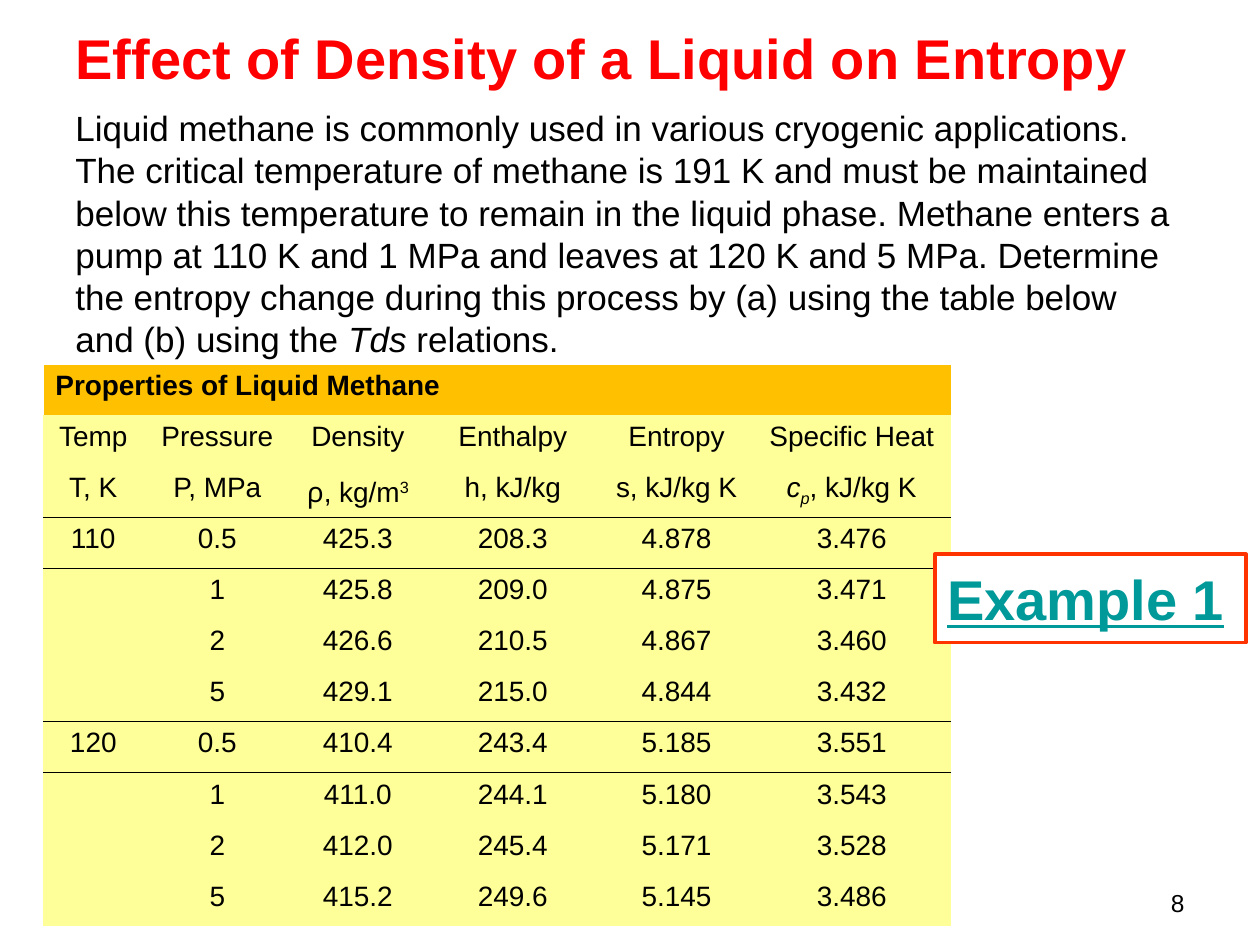
from lxml import etree
from pptx import Presentation
from pptx.dml.color import RGBColor
from pptx.enum import shapes, text
from pptx.oxml.ns import qn
from pptx.util import Inches, Pt

BLACK = RGBColor(0x00, 0x00, 0x00)
WHITE = RGBColor(0xFF, 0xFF, 0xFF)
RED = RGBColor(0xFF, 0x00, 0x00)
ORANGE_RED = RGBColor(0xFF, 0x33, 0x00)
TEAL = RGBColor(0x00, 0x99, 0x99)
GOLD = RGBColor(0xFF, 0xC0, 0x00)
PALE_YELLOW = RGBColor(0xFF, 0xFF, 0x99)

LEFT, CENTER, RIGHT = text.PP_ALIGN.LEFT, text.PP_ALIGN.CENTER, text.PP_ALIGN.RIGHT
NO_STYLE = "{2D5ABB26-0587-4C30-8999-92F81FD0307C}"

HEADING = "Effect of Density of a Liquid on Entropy"
PROBLEM = [
    ("Liquid methane is commonly used in various cryogenic applications. "
     "The critical temperature of methane is 191 K and must be maintained "
     "below this temperature to remain in the liquid phase. Methane enters a "
     "pump at 110 K and 1 MPa and leaves at 120 K and 5 MPa. Determine the "
     "entropy change during this process by (a) using the table below and "
     "(b) using the ", {}),
    ("Tds", {"italic": True}),
    (" relations.", {}),
]

COLUMN_WIDTHS = [0.8, 1.17, 1.06, 1.4, 1.2, 1.58]
TABLE_HEIGHT = 4.46
QUANTITIES = ["Temp", "Pressure", "Density", "Enthalpy", "Entropy", "Specific Heat"]
UNITS = [
    "T, K",
    "P, MPa",
    [("ρ", {"name": "Noto Sans"}), (", kg/m", {}), ("3", {"baseline": 30})],
    "h, kJ/kg",
    "s, kJ/kg K",
    [("c", {"italic": True}), ("p", {"italic": True, "baseline": -25}),
     (", kJ/kg K", {})],
]
PROPERTIES = [
    ["110", "0.5", "425.3", "208.3", "4.878", "3.476"],
    ["", "1", "425.8", "209.0", "4.875", "3.471"],
    ["", "2", "426.6", "210.5", "4.867", "3.460"],
    ["", "5", "429.1", "215.0", "4.844", "3.432"],
    ["120", "0.5", "410.4", "243.4", "5.185", "3.551"],
    ["", "1", "411.0", "244.1", "5.180", "3.543"],
    ["", "2", "412.0", "245.4", "5.171", "3.528"],
    ["", "5", "415.2", "249.6", "5.145", "3.486"],
]
# Rows of the whole table that open a new temperature group
GROUP_STARTS = (3, 7)


def write(frame, content, size, color=BLACK, align=LEFT, bold=False):
    """Fill the first paragraph with a string or with (words, format) pairs."""
    paragraph = frame.paragraphs[0]
    paragraph.alignment = align
    font = paragraph.font
    font.name, font.size, font.bold = "Arial", Pt(size), bold
    font.color.rgb = color
    pieces = [(content, {})] if isinstance(content, str) else content
    for words, style in pieces:
        if not words:
            continue
        run = paragraph.add_run()
        run.text = words
        for key, value in style.items():
            if key == "baseline":
                run.font._element.set("baseline", str(value * 1000))
            else:
                setattr(run.font, key, value)
    return paragraph


def add_heading(slide):
    heading = slide.shapes.title
    heading.left, heading.top = Inches(0.5), Inches(0.1)
    heading.width, heading.height = Inches(9), Inches(0.7)
    heading.text_frame.vertical_anchor = text.MSO_ANCHOR.MIDDLE
    write(heading.text_frame, HEADING, 32, RED, bold=True)


def add_text(slide, box, content, size, align=LEFT):
    frame = slide.shapes.add_textbox(*map(Inches, box)).text_frame
    frame.word_wrap = True
    return write(frame, content, size, align=align)


def add_border(cell, side, color):
    """Draw a 1 pt line on side L, R, T or B; call before the cell is filled."""
    line = etree.SubElement(cell._tc.get_or_add_tcPr(), qn(f"a:ln{side}"), w=str(Pt(1)))
    solid = etree.SubElement(line, qn("a:solidFill"))
    etree.SubElement(solid, qn("a:srgbClr"), val=str(color))


def fill_cell(cell, content, color, **style):
    cell.fill.solid()
    cell.fill.fore_color.rgb = color
    write(cell.text_frame, content, 16, **style)


def add_properties_table(slide):
    body = [QUANTITIES, UNITS, *PROPERTIES]
    row_count = len(body) + 1
    frame = slide.shapes.add_table(
        row_count, len(COLUMN_WIDTHS), Inches(0.34), Inches(2.89),
        Inches(sum(COLUMN_WIDTHS)), Inches(TABLE_HEIGHT))
    table = frame.table
    table.first_row = table.horz_banding = False
    table._tbl.tblPr.find(qn("a:tableStyleId")).text = NO_STYLE
    for column, width in zip(table.columns, COLUMN_WIDTHS):
        column.width = Inches(width)
    for row in table.rows:
        row.height = Inches(TABLE_HEIGHT / row_count)

    caption = table.cell(0, 0)
    caption.merge(table.cell(0, len(COLUMN_WIDTHS) - 1))
    for side in "LRT":
        add_border(caption, side, WHITE)
    fill_cell(caption, "Properties of Liquid Methane", GOLD, bold=True)

    for r, values in enumerate(body, start=1):
        for c, value in enumerate(values):
            cell = table.cell(r, c)
            if r in GROUP_STARTS:
                add_border(cell, "T", BLACK)
            if r + 1 in GROUP_STARTS:
                add_border(cell, "B", BLACK)
            fill_cell(cell, value, PALE_YELLOW, align=CENTER)


def add_example_button(slide):
    button = slide.shapes.add_shape(
        shapes.MSO_SHAPE.RECTANGLE, *map(Inches, (7.42, 4.4, 2.47, 0.7)))
    button.shadow.inherit = False
    button.fill.solid()
    button.fill.fore_color.rgb = WHITE
    button.line.color.rgb = ORANGE_RED
    button.line.width = Pt(2.25)
    button.text_frame.vertical_anchor = text.MSO_ANCHOR.MIDDLE
    label = write(button.text_frame, "Example 1", 32, TEAL, bold=True)
    label.font.underline = True


def main():
    deck = Presentation()
    deck.slide_width, deck.slide_height = Inches(10), Inches(7.5)
    slide = deck.slides.add_slide(deck.slide_layouts[5])
    add_heading(slide)
    problem = add_text(slide, (0.5, 0.8, 9, 2.24), PROBLEM, 20)
    problem.line_spacing = Pt(24)
    add_text(slide, (7.17, 7, 2.33, 0.35), "8", 14, align=RIGHT)
    add_properties_table(slide)
    add_example_button(slide)
    deck.save("out.pptx")


if __name__ == "__main__":
    main()
